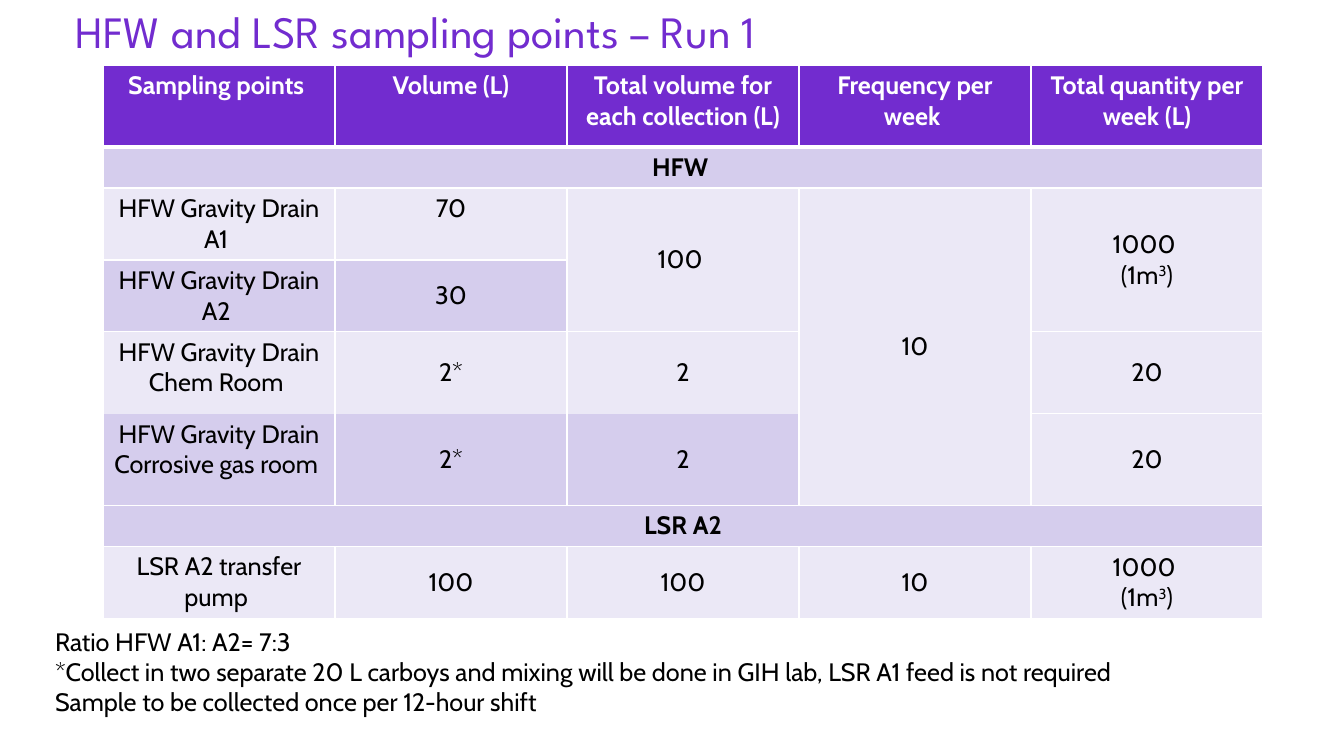
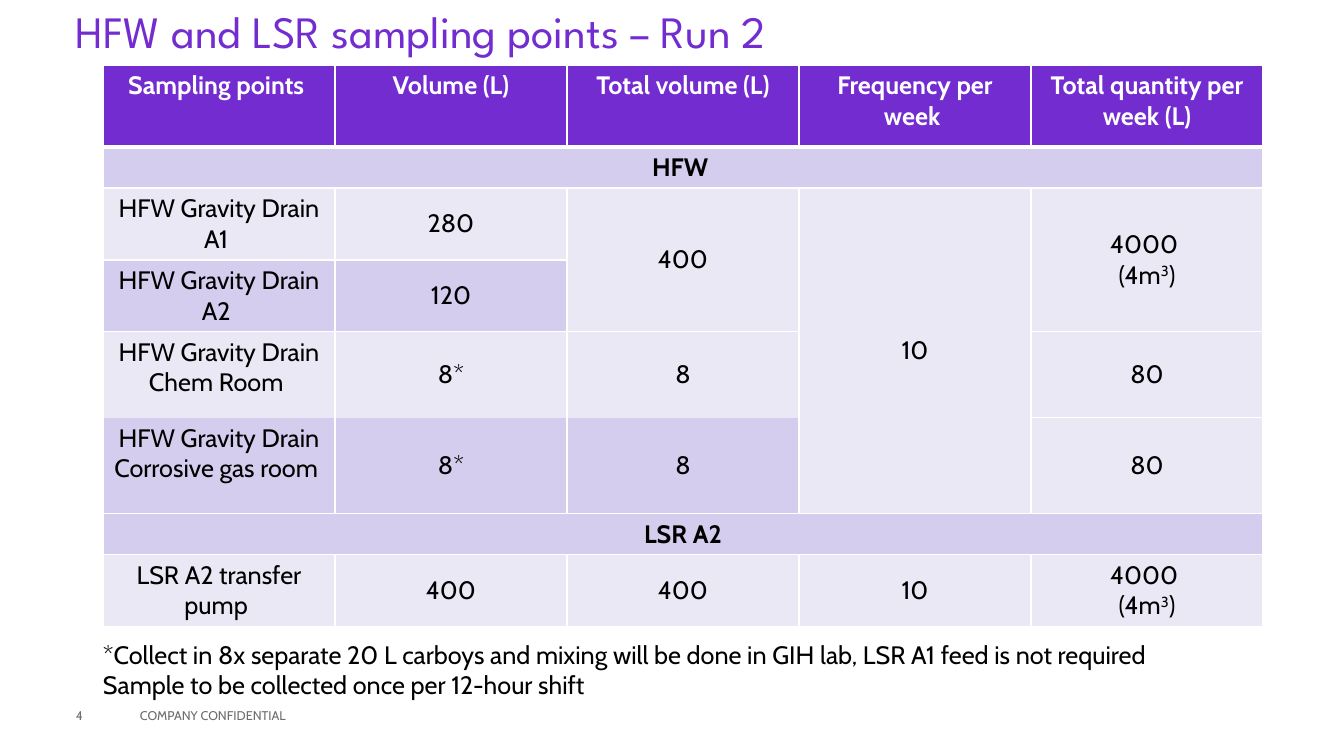
from lxml import etree
from pptx import Presentation
from pptx.dml.color import RGBColor
from pptx.enum.shapes import MSO_SHAPE
from pptx.enum.text import MSO_ANCHOR, MSO_AUTO_SIZE, PP_ALIGN
from pptx.oxml.ns import qn
from pptx.util import Pt

TOP, MIDDLE = MSO_ANCHOR.TOP, MSO_ANCHOR.MIDDLE
LEFT, CENTER = PP_ALIGN.LEFT, PP_ALIGN.CENTER
NO_AUTOFIT = MSO_AUTO_SIZE.NONE
RECTANGLE = MSO_SHAPE.RECTANGLE

EMU_PER_PX = 12192000 / 1344
SLIDE_WIDTH, SLIDE_HEIGHT = 1344, 756
TITLE_ONLY_LAYOUT = 5

PURPLE, LILAC, PALE = "722CCF", "D5CDED", "EBE8F6"
BLACK, WHITE, GREY = "000000", "FFFFFF", "6C6C6C"
TITLE_FONT, BODY_FONT = "League Spartan", "Cabin"

COLUMN_COUNT, COLUMN_WIDTH = 5, 232
SECTION_ROWS = (1, 7)
LILAC_ROWS = (1, 3, 5, 7)
PALE_CELL = (5, 4)
SPANS = [
    ((1, 0), (1, 4)), ((2, 2), (3, 2)), ((2, 3), (6, 3)), ((2, 4), (3, 4)),
    ((4, 4), (5, 4)), ((5, 0), (6, 0)), ((5, 1), (6, 1)), ((5, 2), (6, 2)),
    ((7, 0), (7, 4)),
]
COLLECTIONS_PER_WEEK = 10


def px(length):
    return round(length * EMU_PER_PX)


def color(hex_string):
    return RGBColor.from_string(hex_string)


def write(text_frame, text, font=BODY_FONT, size=18, ink=BLACK, bold=False,
          align=LEFT, line_spacing=None):
    """Write one paragraph per line; ^ marks enclose superscript, | breaks a line."""
    for index, line in enumerate(text.split("\n")):
        paragraph = text_frame.paragraphs[0] if index == 0 else text_frame.add_paragraph()
        paragraph.alignment = align
        if line_spacing:
            paragraph.line_spacing = line_spacing
        for row, row_text in enumerate(line.split("|")):
            if row:
                paragraph.add_line_break()
            for part, piece in enumerate(row_text.split("^")):
                run = paragraph.add_run()
                run.text = piece
                run.font.name = font
                run.font.size = Pt(size)
                run.font.bold = bold
                run.font.color.rgb = color(ink)
                if part % 2:
                    run.font._element.set("baseline", "30000")


def set_borders(cell, top=1, bottom=1):
    properties = cell._tc.get_or_add_tcPr()
    for side, width in (("L", 1), ("R", 1), ("T", top), ("B", bottom)):
        line = etree.SubElement(properties, qn(f"a:ln{side}"), w=str(Pt(width)))
        fill = etree.SubElement(line, qn("a:solidFill"))
        etree.SubElement(fill, qn("a:srgbClr"), val=WHITE)


class Deck:
    def __init__(self):
        self.presentation = Presentation()
        self.presentation.slide_width = px(SLIDE_WIDTH)
        self.presentation.slide_height = px(SLIDE_HEIGHT)
        self.slide = None

    def add_slide(self, title):
        layout = self.presentation.slide_layouts[TITLE_ONLY_LAYOUT]
        self.slide = self.presentation.slides.add_slide(layout)
        shape = self.slide.shapes.title
        shape.left, shape.top, shape.width, shape.height = map(px, (76, 0, 1190, 68))
        frame = shape.text_frame
        frame.auto_size = NO_AUTOFIT
        frame.vertical_anchor = MIDDLE
        frame.margin_left = 0
        write(frame, title, font=TITLE_FONT, size=32, ink=PURPLE, line_spacing=0.9)

    def add_text(self, text, left, top, width, height, anchor=TOP, inset=10,
                 fill=None, **style):
        """Add a text box, or a rectangle when a fill is given."""
        bounds = [px(length) for length in (left, top, width, height)]
        if fill:
            shape = self.slide.shapes.add_shape(RECTANGLE, *bounds)
            shape.shadow.inherit = False
            shape.fill.solid()
            shape.fill.fore_color.rgb = color(fill)
            shape.line.fill.background()
        else:
            shape = self.slide.shapes.add_textbox(*bounds)
        frame = shape.text_frame
        frame.word_wrap = True
        frame.vertical_anchor = anchor
        frame.margin_left = px(inset)
        write(frame, text, **style)

    def add_footer(self, number, text):
        self.add_text(number, 76, 696, 54, 40, anchor=MIDDLE, inset=0, size=9, ink=GREY)
        self.add_text(text, 130, 696, 454, 40, anchor=MIDDLE, size=9, ink=GREY)

    def add_sampling_table(self, rows, heights, top_cells=()):
        """Draw the table; top_cells lists value cells anchored at the top."""
        frame = self.slide.shapes.add_table(
            len(rows), COLUMN_COUNT, px(103), px(65),
            px(COLUMN_COUNT * COLUMN_WIDTH), px(sum(heights)))
        table = frame.table
        table.horz_banding = False
        for column in table.columns:
            column.width = px(COLUMN_WIDTH)
        for row, height in zip(table.rows, heights):
            row.height = px(height)
        for start, end in SPANS:
            table.cell(*start).merge(table.cell(*end))
        for row_index, texts in enumerate(rows):
            for column_index in range(COLUMN_COUNT):
                position = (row_index, column_index)
                cell = table.cell(*position)
                header = row_index == 0
                set_borders(cell, top=3 if row_index == 1 else 1, bottom=3 if header else 1)
                lilac = row_index in LILAC_ROWS and position != PALE_CELL
                cell.fill.solid()
                cell.fill.fore_color.rgb = color(PURPLE if header else LILAC if lilac else PALE)
                at_top = header or column_index == 0 or position in top_cells
                cell.vertical_anchor = TOP if at_top else MIDDLE
                if column_index < len(texts) and texts[column_index]:
                    write(cell.text_frame, texts[column_index], align=CENTER,
                          ink=WHITE if header else BLACK,
                          bold=header or row_index in SECTION_ROWS)

    def save(self):
        self.presentation.save("out.pptx")


def sampling_rows(total_heading, drain_a1, drain_a2, room, total_suffix=""):
    """Derive the totals and weekly quantities from the volumes in litres."""
    pooled = drain_a1 + drain_a2
    weekly = pooled * COLLECTIONS_PER_WEEK
    cubic_metres = f"({weekly // 1000}m^3^)"
    room_values = [f"{room}*", str(room)]
    room_weekly = str(room * COLLECTIONS_PER_WEEK)
    frequency = str(COLLECTIONS_PER_WEEK)
    return [
        ["Sampling points ", "Volume (L)", total_heading,
         "Frequency per week ", "Total quantity per week (L)"],
        ["HFW "],
        ["HFW Gravity Drain A1 ", str(drain_a1), f"{pooled}{total_suffix}", frequency,
         f"{weekly} |{cubic_metres}"],
        ["HFW Gravity Drain A2 ", str(drain_a2)],
        ["HFW Gravity Drain Chem Room ", *room_values, "", room_weekly],
        ["HFW Gravity Drain Corrosive gas room ", *room_values],
        ["", "", "", "", room_weekly],
        ["LSR A2"],
        ["LSR A2 transfer pump ", str(pooled), str(pooled), frequency,
         f"{weekly} \n{cubic_metres}"],
    ]


def row_heights(chem_room, gas_room):
    return [82, 41, 72, 71, chem_room, 0, gas_room, 41, 72]


def main():
    deck = Deck()

    deck.add_slide("HFW and LSR sampling points – Run 1")
    deck.add_sampling_table(
        sampling_rows("Total volume for each collection (L)", 70, 30, 2, total_suffix=" "),
        row_heights(82, 92), top_cells=[(2, 1)])
    deck.add_text(
        "Ratio HFW A1: A2= 7:3\n"
        "*Collect in two separate 20 L carboys and mixing will be done in GIH lab, "
        "LSR A1 feed is not required\n"
        "Sample to be collected once per 12-hour shift",
        45, 621, 1111, 134, fill=WHITE)

    deck.add_slide("HFW and LSR sampling points – Run 2")
    deck.add_sampling_table(
        sampling_rows("Total volume (L)", 280, 120, 8), row_heights(86, 96))
    deck.add_text(
        "*Collect in 8x separate 20 L carboys and mixing will be done in GIH lab, "
        "LSR A1 feed is not required\n"
        "Sample to be collected once per 12-hour shift",
        93, 634, 1117, 72)
    deck.add_footer("4", "COMPANY CONFIDENTIAL")

    deck.save()


if __name__ == "__main__":
    main()
